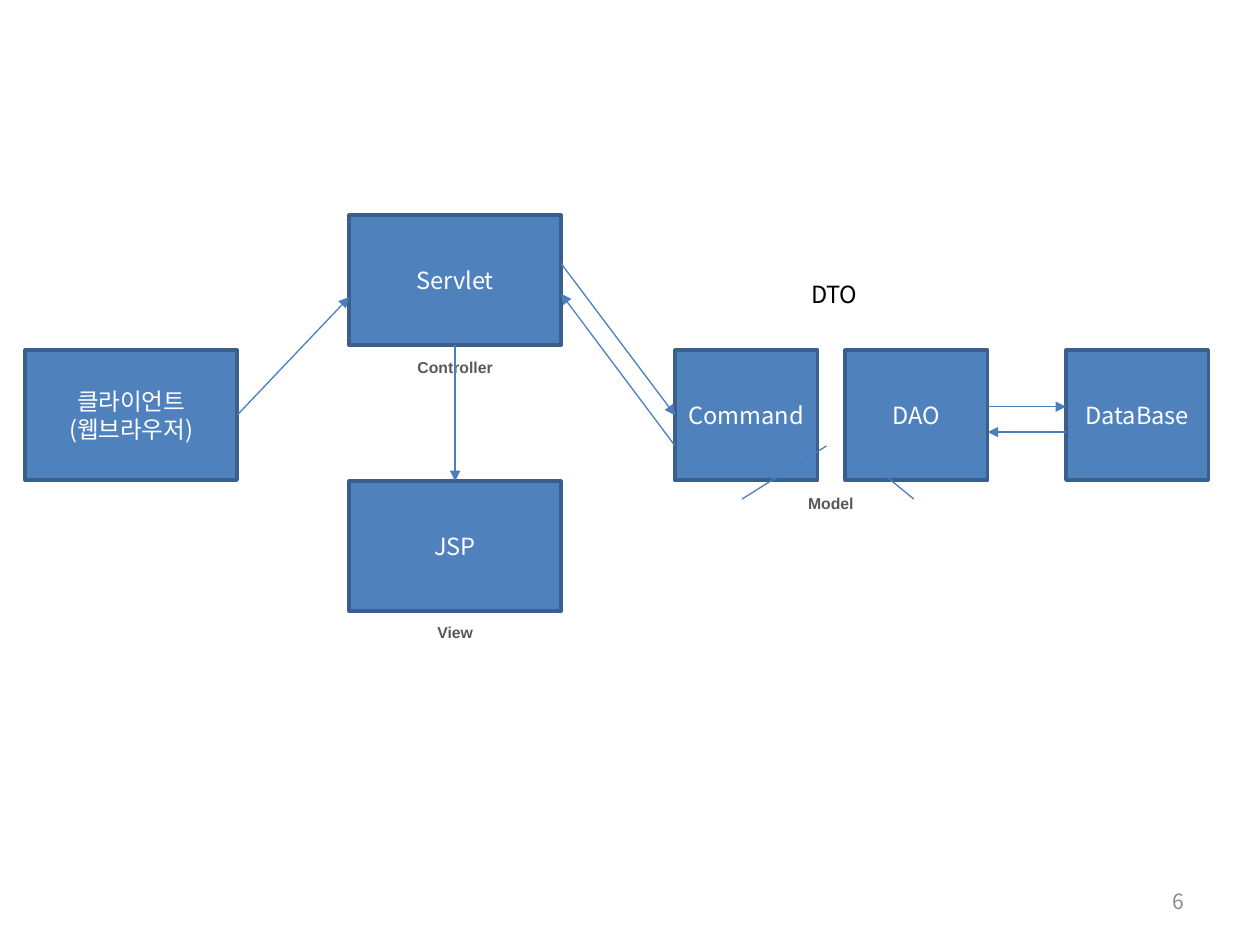
import pptx
import pptx.util
import pptx.dml.color
import pptx.enum.shapes
import pptx.enum.text
import pptx.oxml.ns
from dataclasses import dataclass
from lxml import etree
from pptx.util import Cm


@dataclass(frozen=True)
class Theme:
    box_fill: str = "4F81BD"
    box_line: str = "3A5F8C"
    arrow: str = "4B7EBC"
    box_text: str = "FFFFFF"
    caption: str = "595959"
    plain: str = "000000"
    number: str = "8C8C8C"
    body_font: str = "Noto Sans CJK KR"
    caption_font: str = "Arial"
    body_size: float = 13.5
    caption_size: float = 9
    number_size: float = 12
    box_width: float = 2
    arrow_width: float = 0.75


theme = Theme()
rgb = pptx.dml.color.RGBColor.from_string
qn = pptx.oxml.ns.qn
ALIGN = pptx.enum.text.PP_ALIGN
ANCHOR = pptx.enum.text.MSO_ANCHOR


def write(holder, text, size=theme.body_size, color=theme.plain, font=theme.body_font,
          bold=False, align=ALIGN.CENTER, anchor=ANCHOR.MIDDLE, wrap=True):
    frame = holder.text_frame
    frame.word_wrap = wrap
    frame.vertical_anchor = anchor
    frame.text = text
    for paragraph in frame.paragraphs:
        paragraph.alignment = align
        for run in paragraph.runs:
            run.font.size = pptx.util.Pt(size)
            run.font.bold = bold
            run.font.name = font
            run.font.color.rgb = rgb(color)
            etree.SubElement(run.font._element, qn("a:ea"), typeface=font)


def connect(start, end, arrow=True):
    link = slide.shapes.add_connector(
        pptx.enum.shapes.MSO_CONNECTOR.STRAIGHT, *(Cm(v) for v in start + end))
    link.line.color.rgb = rgb(theme.arrow)
    link.line.width = pptx.util.Pt(theme.arrow_width)
    if arrow:
        etree.SubElement(link.line._get_or_add_ln(), qn("a:tailEnd"), type="triangle")
    etree.SubElement(link._element.spPr, qn("a:effectLst"))
    return link


presentation = pptx.Presentation()
presentation.slide_width = Cm(25.4)
presentation.slide_height = Cm(19.05)
slide = presentation.slides.add_slide(presentation.slide_layouts[6])

wide, narrow, box_height = 4.27, 2.87, 2.62
row_top = 7.06
client_left, servlet_left, command_left, dao_left, database_left = 0.51, 7.04, 13.61, 17.04, 21.49
servlet_top, jsp_top = 4.34, 9.7

components = {}
for name, left, top, width in (
    ("클라이언트\n(웹브라우저)", client_left, row_top, wide),
    ("JSP", servlet_left, jsp_top, wide),
    ("DataBase", database_left, row_top, narrow),
    ("Servlet", servlet_left, servlet_top, wide),
    ("DAO", dao_left, row_top, narrow),
    ("Command", command_left, row_top, narrow),
):
    component = slide.shapes.add_shape(
        pptx.enum.shapes.MSO_SHAPE.RECTANGLE, Cm(left), Cm(top), Cm(width), Cm(box_height))
    component.shadow.inherit = False
    component.fill.solid()
    component.fill.fore_color.rgb = rgb(theme.box_fill)
    component.line.color.rgb = rgb(theme.box_line)
    component.line.width = pptx.util.Pt(theme.box_width)
    write(component, name, color=theme.box_text)
    components[name.split("\n")[0]] = component

for role, left, top, width in (
    ("View", servlet_left, 12.42, wide),
    ("Model", 13.56, 9.83, 6.38),
    ("Controller", servlet_left, 7.09, wide),
):
    caption = slide.shapes.add_textbox(Cm(left), Cm(top), Cm(width), Cm(0.64))
    write(caption, role, size=theme.caption_size, color=theme.caption,
          font=theme.caption_font, bold=True, anchor=ANCHOR.TOP)

dto = slide.shapes.add_textbox(Cm(16.1), Cm(5.51), Cm(1.45), Cm(0.84))
write(dto, "DTO", align=ALIGN.LEFT, anchor=ANCHOR.TOP, wrap=False)

page_number = slide.shapes.add_textbox(Cm(18.21), Cm(17.65), Cm(5.92), Cm(1.02))
write(page_number, "6", size=theme.number_size, color=theme.number, align=ALIGN.RIGHT)

row_middle = row_top + box_height / 2
servlet_right = servlet_left + wide
servlet_center = servlet_left + wide / 2
dao_right = dao_left + narrow

request = connect((client_left + wide, row_middle), (servlet_left, 5.99))
request.begin_connect(components["클라이언트"], 3)
call = connect((servlet_right, 5.31), (command_left, row_middle))
call.end_connect(components["Command"], 1)
forward = connect((servlet_center, servlet_top + box_height), (servlet_center, jsp_top))
forward.begin_connect(components["Servlet"], 2)
forward.end_connect(components["JSP"], 0)

connect((command_left, 8.99), (servlet_right, 5.92))
connect((dao_right, 8.2), (database_left, 8.2))
connect((database_left, 8.71), (dao_right, 8.71))
connect((16.66, 8.99), (14.96, 10.06), arrow=False)
connect((17.12, 8.99), (18.42, 10.06), arrow=False)

presentation.save("out.pptx")
